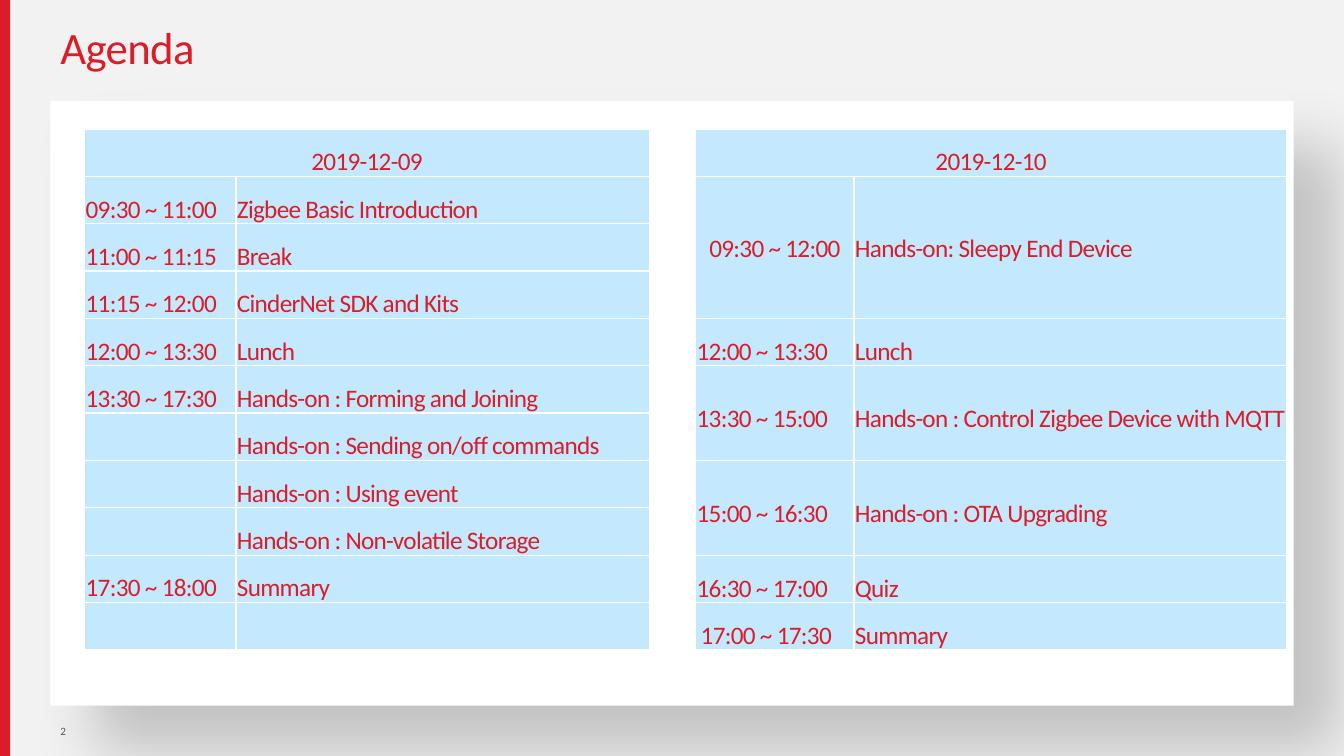
from lxml import etree
from pptx import Presentation
from pptx.dml.color import RGBColor
from pptx.enum.shapes import MSO_SHAPE
from pptx.enum.text import MSO_ANCHOR, PP_ALIGN
from pptx.oxml.ns import qn
from pptx.util import Inches, Pt

RECT = MSO_SHAPE.RECTANGLE
MIDDLE, BOTTOM = MSO_ANCHOR.MIDDLE, MSO_ANCHOR.BOTTOM
LEFT, CENTER = PP_ALIGN.LEFT, PP_ALIGN.CENTER

COLORS = {"red": "D91E2A", "page": "F2F2F2", "panel": "FFFFFF",
          "cell": "C4E9FF", "number": "555555", "shadow": "000000"}
FONT = "Calibri"
SLIDE_W, SLIDE_H = 13.33, 7.5
MARGIN, HEADER_H, PANEL_H = 0.5, 1, 6
PANEL_W = SLIDE_W - 2 * MARGIN
ROW_H, LINE_H, TABLE_TOP = 0.47, 0.275, 1.28

# Each session: time, topic, height in rows, and optional format of the time
DAYS = [
    {"date": "2019-12-09", "left": 0.84, "columns": (1.5, 4.1), "sessions": [
        ("09:30 ~ 11:00", "Zigbee Basic Introduction", 1, {}),
        ("11:00 ~ 11:15", "Break", 1, {}),
        ("11:15 ~ 12:00", "CinderNet SDK and Kits", 1, {}),
        ("12:00 ~ 13:30", "Lunch", 1, {}),
        ("13:30 ~ 17:30", "Hands-on : Forming and Joining", 1, {}),
        ("", "Hands-on : Sending on/off commands", 1, {}),
        ("", "Hands-on : Using event", 1, {}),
        ("", "Hands-on : Non-volatile Storage", 1, {}),
        ("17:30 ~ 18:00", "Summary", 1, {}),
        ("", "", 1, {}),
    ]},
    {"date": "2019-12-10", "left": 6.9, "columns": (1.57, 4.29), "sessions": [
        ("09:30 ~ 12:00", "Hands-on: Sleepy End Device", 3, {"align": CENTER}),
        ("12:00 ~ 13:30", "Lunch", 1, {}),
        ("13:30 ~ 15:00", "Hands-on : Control Zigbee Device with MQTT", 2, {}),
        ("15:00 ~ 16:30", "Hands-on : OTA Upgrading", 2, {}),
        ("16:30 ~ 17:00", "Quiz", 1, {}),
        ("17:00 ~ 17:30", "Summary", 1, {"indent": 0.05}),
    ]},
]


def rgb(name):
    """Return the named colour."""
    return RGBColor.from_string(COLORS[name])


def write(frame, text, size=18, color="red", align=LEFT, spacing=0.9, tracking=-50):
    """Write one formatted paragraph into a text frame."""
    paragraph = frame.paragraphs[0]
    paragraph.alignment, paragraph.line_spacing = align, spacing
    run = paragraph.add_run()
    run.text = text
    run.font.name, run.font.size = FONT, Pt(size)
    run.font.color.rgb = rgb(color)
    run.font._element.set("spc", str(tracking))


def add_block(slide, left, top, width, height, color):
    """Add a plain filled rectangle."""
    block = slide.shapes.add_shape(RECT, *map(Inches, (left, top, width, height)))
    block.shadow.inherit = False
    block.fill.solid()
    block.fill.fore_color.rgb = rgb(color)
    block.line.fill.background()
    return block


def add_soft_shadow(block):
    """Cast a wide soft shadow to the lower right."""
    effects = block._element.spPr.find(qn("a:effectLst"))
    shadow = etree.SubElement(effects, qn("a:outerShdw"), blurRad=str(Pt(45)),
                              dist=str(Pt(45)), dir=str(45 * 60000),
                              algn="tl", rotWithShape="0")
    tint = etree.SubElement(shadow, qn("a:srgbClr"), val=COLORS["shadow"])
    etree.SubElement(tint, qn("a:alpha"), val="20000")


def style_cell(cell):
    """Fill a cell and draw its four borders."""
    cell.fill.solid()
    cell.fill.fore_color.rgb = rgb("cell")
    properties = cell._tc.get_or_add_tcPr()
    for place, side in enumerate(("lnL", "lnR", "lnT", "lnB")):
        border = etree.Element(qn("a:" + side), w=str(Pt(1)))
        fill = etree.SubElement(border, qn("a:solidFill"))
        etree.SubElement(fill, qn("a:srgbClr"), val=COLORS["panel"])
        properties.insert(place, border)


def fill_cell(cell, text, rows=1, indent=0.01, **style):
    """Write text one line above the bottom for each extra row."""
    cell.vertical_anchor = BOTTOM
    cell.margin_left = Inches(indent)
    cell.margin_right = cell.margin_top = Inches(0.01)
    cell.margin_bottom = Inches((rows - 1) * LINE_H)
    write(cell.text_frame, text, **style)


def add_day(slide, day):
    """Add the timetable of one day."""
    sessions, columns = day["sessions"], day["columns"]
    heights = [1] + [rows for _, _, rows, _ in sessions]
    timetable = slide.shapes.add_table(
        len(heights), len(columns), Inches(day["left"]), Inches(TABLE_TOP),
        Inches(sum(columns)), Inches(sum(heights) * ROW_H)).table
    timetable.first_row = timetable.horz_banding = False
    for column, width in zip(timetable.columns, columns):
        column.width = Inches(width)
    for row, height in zip(timetable.rows, heights):
        row.height = Inches(height * ROW_H)
    for cell in timetable.iter_cells():
        style_cell(cell)
    timetable.cell(0, 0).merge(timetable.cell(0, 1))
    fill_cell(timetable.cell(0, 0), day["date"], align=CENTER)
    for index, (time, topic, rows, time_style) in enumerate(sessions, 1):
        fill_cell(timetable.cell(index, 0), time, rows, **time_style)
        fill_cell(timetable.cell(index, 1), topic, rows)


prs = Presentation()
prs.slide_width, prs.slide_height = Inches(SLIDE_W), Inches(SLIDE_H)
slide = prs.slides.add_slide(prs.slide_layouts[5])
slide.background.fill.solid()
slide.background.fill.fore_color.rgb = rgb("page")

add_block(slide, 0, 0, 0.1, SLIDE_H, "red")
add_soft_shadow(add_block(slide, MARGIN, HEADER_H, PANEL_W, PANEL_H, "panel"))

title = slide.shapes.title
title.left, title.top = Inches(MARGIN), 0
title.width, title.height = Inches(PANEL_W), Inches(HEADER_H)
title.text_frame.vertical_anchor = MIDDLE
write(title.text_frame, "Agenda", size=32)

page_number = slide.shapes.add_textbox(
    *map(Inches, (MARGIN, HEADER_H + PANEL_H, 0.35, 0.5))).text_frame
page_number.word_wrap = True
page_number.vertical_anchor = MIDDLE
page_number.margin_right = 0
write(page_number, "2", size=8, color="number", spacing=1.0, tracking=0)

for day in DAYS:
    add_day(slide, day)

prs.save("out.pptx")
